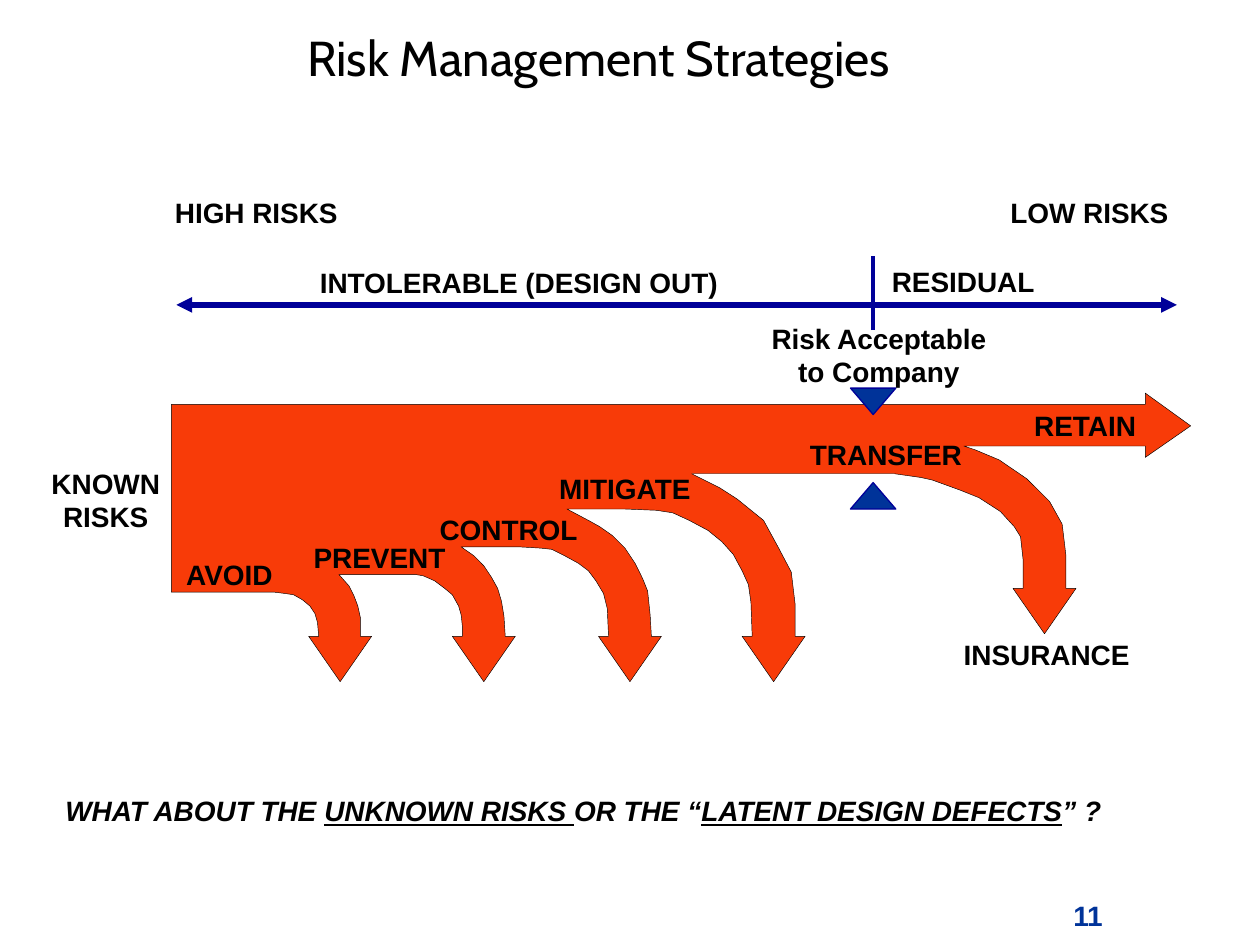
import pptx
import pptx.dml.color
import pptx.enum.shapes
import pptx.enum.text
import pptx.oxml
import pptx.oxml.ns
import pptx.util

INCH = 2.54
THEME = {
    "flow": "F83B08", "ink": "000000", "axis": "000099", "accent": "003399",
    "title": {"name": "Cabin", "size": pptx.util.Pt(28), "bold": False},
    "label": {"name": "Arial", "size": pptx.util.Pt(16), "bold": True},
    "outline_width": 0.25, "marker_width": 0.75, "divider_width": 2.25, "axis_width": 3,
}
FRAME = {"auto_size": pptx.enum.text.MSO_AUTO_SIZE.SHAPE_TO_FIT_TEXT}
FIXED = {"auto_size": pptx.enum.text.MSO_AUTO_SIZE.NONE,
         "vertical_anchor": pptx.enum.text.MSO_ANCHOR.TOP}

TITLE = ("Risk Management Strategies", (0.25, 0.17, 9, 0.75))
LABELS = [
    ("AVOID", (1.38, 4.38, 0.9, 0.37)),
    ("PREVENT", (2.39, 4.24, 1.25, 0.37)),
    ("CONTROL", (3.39, 4.02, 1.3, 0.37)),
    ("MITIGATE", (4.34, 3.69, 1.26, 0.37)),
    ("TRANSFER", (6.33, 3.42, 1.41, 0.37)),
    ("RETAIN", (8.11, 3.19, 1.03, 0.37)),
    ("INSURANCE", (7.55, 5.01, 1.52, 0.37)),
    ("INTOLERABLE (DESIGN OUT)", (2.44, 2.06, 3.37, 0.37)),
    ("RESIDUAL", (6.98, 2.05, 1.33, 0.37)),
    ("HIGH RISKS", (1.29, 1.5, 1.5, 0.37)),
    ("LOW RISKS", (7.92, 1.5, 1.46, 0.37)),
]
SOURCE = (["KNOWN", "RISKS"], (0.31, 3.65, 1.06, 0.64))
THRESHOLD = ("Risk Acceptable to Company", (5.9, 2.5, 2.15, 0.64))
MARKERS = [((6.75, 3.83, 0.36, 0.21), 0), ((6.75, 3.08, 0.36, 0.21), 180)]
AXIS = ((1.4, 2.42), (9.34, 2.42))
DIVIDER = ((6.93, 2.62), (6.93, 2.03))
QUESTION = ([
    ("WHAT ABOUT THE ", False), ("UNKNOWN RISKS ", True), ("OR THE “", False),
    ("LATENT DESIGN DEFECTS", True), ("” ?", False),
], (0.42, 6.25, 8.57, 0.37))
PAGE_NUMBER = ("11", (8.42, 7.08, 0.67, 0.33))

HEAD_HALF, HEAD_LENGTH = 0.25, 0.36
FLOW_START = [(1.36, 3.21), (1.36, 4.7)]
FLOW_END = [(9.09, 3.54), (9.09, 3.63), (9.45, 3.38), (9.09, 3.12), (9.09, 3.21)]
BRANCHES = [
    {"tip": 2.7,
     "lower": [(2.18, 4.7), (2.26, 4.71), (2.33, 4.72), (2.4, 4.76), (2.46, 4.81),
               (2.5, 4.87), (2.52, 4.94), (2.53, 5.05)],
     "upper": [(2.86, 5.05), (2.86, 4.9), (2.84, 4.81), (2.81, 4.73), (2.77, 4.65),
               (2.69, 4.56)]},
    {"tip": 3.84,
     "lower": [(3.3, 4.56), (3.36, 4.57), (3.45, 4.61), (3.53, 4.67), (3.59, 4.72),
               (3.64, 4.81), (3.66, 4.88), (3.67, 4.97), (3.67, 5.05)],
     "upper": [(4.01, 5.05), (4, 4.89), (3.98, 4.77), (3.95, 4.67), (3.9, 4.58),
               (3.84, 4.49), (3.76, 4.41), (3.66, 4.34)]},
    {"tip": 5,
     "lower": [(4.12, 4.34), (4.29, 4.35), (4.38, 4.36), (4.48, 4.41), (4.59, 4.47),
               (4.67, 4.53), (4.73, 4.61), (4.79, 4.71), (4.82, 4.83), (4.83, 5.05)],
     "upper": [(5.17, 5.05), (5.16, 4.88), (5.14, 4.69), (5.1, 4.59), (5.04, 4.47),
               (4.96, 4.35), (4.86, 4.25), (4.76, 4.18), (4.67, 4.13), (4.5, 4.04)]},
    {"tip": 6.14,
     "lower": [(4.96, 4.04), (5.21, 4.05), (5.34, 4.07), (5.47, 4.13), (5.62, 4.21),
               (5.73, 4.3), (5.82, 4.4), (5.89, 4.53), (5.94, 4.64), (5.96, 4.78),
               (5.97, 5.05)],
     "upper": [(6.31, 5.05), (6.31, 4.79), (6.28, 4.54), (6.18, 4.35), (6.06, 4.13),
               (5.85, 3.96), (5.71, 3.87), (5.49, 3.76)]},
    {"tip": 8.29,
     "lower": [(7.1, 3.76), (7.31, 3.79), (7.4, 3.81), (7.62, 3.89), (7.77, 3.95),
               (7.94, 4.06), (8.05, 4.18), (8.1, 4.26), (8.12, 4.44), (8.12, 4.67)],
     "upper": [(8.46, 4.67), (8.46, 4.41), (8.43, 4.16), (8.33, 3.98), (8.15, 3.8),
               (7.93, 3.65), (7.74, 3.57), (7.65, 3.54)]},
]


def lengths(values):
    return [pptx.util.Cm(value * INCH) for value in values]


def colour(name):
    return pptx.dml.color.RGBColor.from_string(THEME[name])


def apply(target, values):
    for name, value in values.items():
        setattr(target, name, value)


def write(frame, paragraphs, style, ink="ink", align=None, **extra):
    for index, pieces in enumerate(paragraphs):
        para = frame.paragraphs[0] if index == 0 else frame.add_paragraph()
        para.alignment = align
        for text, underline in pieces:
            span = para.add_run()
            span.text = text
            apply(span.font, {**THEME[style], **extra, "underline": underline})
            span.font.color.rgb = colour(ink)


def add_label(shapes, paragraphs, place, wrap=False, **style):
    box = shapes.add_textbox(*lengths(place))
    apply(box.text_frame, {**FRAME, "word_wrap": wrap})
    write(box.text_frame, paragraphs, "label", **style)
    return box


def paint(shape, fill, line, width):
    shape.shadow.inherit = False
    shape.fill.solid()
    shape.fill.fore_color.rgb = colour(fill)
    shape.line.color.rgb = colour(line)
    shape.line.width = pptx.util.Pt(width)


def add_line(shapes, ends, width, arrows=()):
    line = shapes.add_connector(
        pptx.enum.shapes.MSO_CONNECTOR.STRAIGHT, *lengths(ends[0] + ends[1]))
    line.line.color.rgb = colour("axis")
    line.line.width = pptx.util.Pt(width)
    properties = line._element.spPr
    for tag in arrows:
        arrow = pptx.oxml.parse_xml(f'<a:{tag} {pptx.oxml.ns.nsdecls("a")} type="triangle"/>')
        line.line._get_or_add_ln().append(arrow)
    properties.append(pptx.oxml.parse_xml(f'<a:effectLst {pptx.oxml.ns.nsdecls("a")}/>'))


def flow_outline():
    points = list(FLOW_START)
    for branch in BRANCHES:
        tip, base = branch["tip"], branch["lower"][-1][1]
        head = [(tip - HEAD_HALF, base), (tip, base + HEAD_LENGTH), (tip + HEAD_HALF, base)]
        points += branch["lower"] + head + branch["upper"]
    return [lengths(point) for point in points + FLOW_END]


def add_flow(shapes):
    start, *rest = flow_outline()
    builder = shapes.build_freeform(*start)
    builder.add_line_segments(rest, close=True)
    paint(builder.convert_to_shape(), "flow", "ink", THEME["outline_width"])


def add_threshold(shapes):
    for place, rotation in MARKERS:
        marker = shapes.add_shape(
            pptx.enum.shapes.MSO_SHAPE.ISOSCELES_TRIANGLE, *lengths(place))
        marker.rotation = rotation
        paint(marker, "accent", "axis", THEME["marker_width"])
    text, place = THRESHOLD
    add_label(shapes, [[(text, False)]], place, wrap=True,
              align=pptx.enum.text.PP_ALIGN.CENTER)
    add_line(shapes, DIVIDER, THEME["divider_width"])


def main():
    centre = pptx.enum.text.PP_ALIGN.CENTER
    deck = pptx.Presentation()
    deck.slide_width, deck.slide_height = lengths((10, 7.5))
    page = deck.slides.add_slide(deck.slide_layouts[5])
    shapes = page.shapes

    text, place = TITLE
    title = shapes.title
    apply(title, dict(zip(("left", "top", "width", "height"), lengths(place))))
    apply(title.text_frame, FIXED)
    write(title.text_frame, [[(text, False)]], "title", align=centre)

    add_flow(shapes)
    for text, place in LABELS:
        add_label(shapes, [[(text, False)]], place)
    lines, place = SOURCE
    add_label(shapes, [[(line, False)] for line in lines], place, align=centre)
    add_line(shapes, AXIS, THEME["axis_width"], ("headEnd", "tailEnd"))
    add_threshold(shapes.add_group_shape().shapes)
    text, place = PAGE_NUMBER
    number = add_label(shapes, [[(text, False)]], place, wrap=True, ink="accent")
    apply(number.text_frame, FIXED)
    pieces, place = QUESTION
    add_label(shapes, [pieces], place, italic=True)
    deck.save("out.pptx")


if __name__ == "__main__":
    main()
